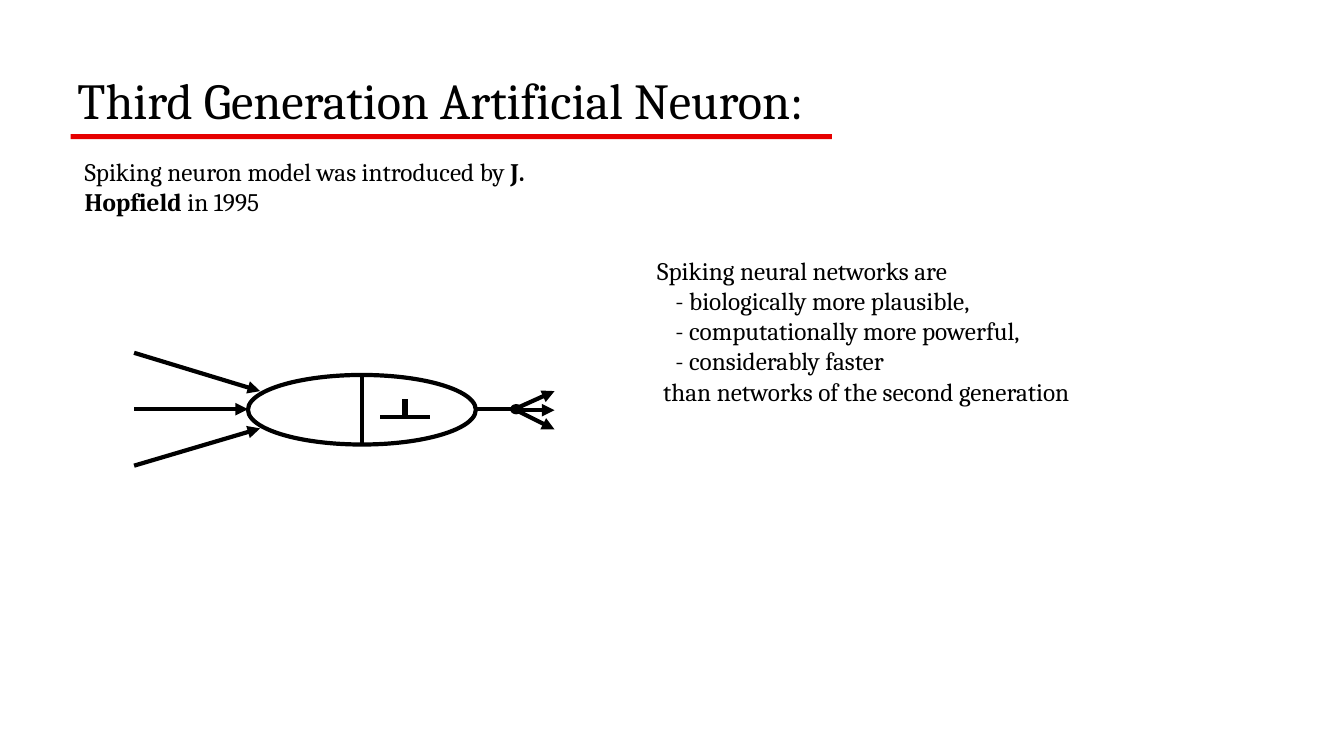
import pptx
import pptx.dml.color
import pptx.enum.shapes
import pptx.enum.text
import pptx.oxml
import pptx.oxml.ns
import pptx.util

COLORS = {"ink": "000000", "accent": "E60000", "background": "FFFFFF"}


class SlideBuilder:
    """Hold the style and the current slide, and draw each kind of element."""

    def __init__(self, presentation):
        self.font_name = "Cambria"
        self.slide = presentation.slides.add_slide(presentation.slide_layouts[6])
        background = self.slide.background.fill
        background.solid()
        background.fore_color.rgb = self.color("background")
        self.shapes = self.slide.shapes

    def color(self, name):
        return pptx.dml.color.RGBColor.from_string(COLORS[name])

    def start_group(self):
        self.shapes = self.slide.shapes.add_group_shape().shapes

    def end_group(self):
        self.shapes = self.slide.shapes

    def text(self, box, paragraphs, size=18, anchor="TOP"):
        shape = self.shapes.add_textbox(*map(pptx.util.Inches, box))
        frame = shape.text_frame
        frame.word_wrap = True
        frame.vertical_anchor = pptx.enum.text.MSO_ANCHOR[anchor]
        for index, (indent, runs) in enumerate(paragraphs):
            paragraph = frame.paragraphs[0] if index == 0 else frame.add_paragraph()
            if indent:
                properties = paragraph._p.get_or_add_pPr()
                properties.set("marL", str(pptx.util.Inches(indent)))
                properties.set("indent", "0")
            for content, bold in runs:
                run = paragraph.add_run()
                run.text = content
                run.font.name = self.font_name
                run.font.size = pptx.util.Pt(size)
                run.font.bold = bold
                run.font.color.rgb = self.color("ink")

    def shape(self, kind, box, fill=None, line_width=None):
        shape = self.shapes.add_shape(
            pptx.enum.shapes.MSO_SHAPE[kind], *map(pptx.util.Inches, box)
        )
        shape.shadow.inherit = False
        if fill:
            shape.fill.solid()
            shape.fill.fore_color.rgb = self.color(fill)
        else:
            shape.fill.background()
        if line_width:
            shape.line.color.rgb = self.color("ink")
            shape.line.width = pptx.util.Pt(line_width)
        else:
            shape.line.fill.background()

    def line(self, start, end, width=3, arrow=False):
        connector = self.shapes.add_connector(
            pptx.enum.shapes.MSO_CONNECTOR.STRAIGHT,
            *map(pptx.util.Inches, start + end)
        )
        connector.line.color.rgb = self.color("ink")
        connector.line.width = pptx.util.Pt(width)
        if arrow:
            head = pptx.oxml.parse_xml(
                f'<a:tailEnd {pptx.oxml.ns.nsdecls("a")} type="triangle"/>'
            )
            connector.line._get_or_add_ln().append(head)
        effects = pptx.oxml.parse_xml(
            f'<a:effectLst {pptx.oxml.ns.nsdecls("a")}/>'
        )
        connector._element.spPr.append(effects)


def draw_neuron(builder):
    builder.start_group()
    builder.shape("OVAL", (2.46, 3.72, 2.26, 0.69), line_width=3)
    builder.line((3.59, 3.72), (3.59, 4.41))
    inputs = [((1.33, 3.5), (2.58, 3.88)),
              ((1.33, 4.62), (2.58, 4.25)),
              ((1.33, 4.06), (2.46, 4.06))]
    outputs = [((5.08, 4.07), (5.5, 3.88)),
               ((5.08, 4.05), (5.5, 4.26)),
               ((5.17, 4.07), (5.5, 4.07))]
    for start, end in inputs + outputs:
        builder.line(start, end, arrow=True)
    builder.line((4.71, 4.06), (5.12, 4.06))
    builder.shape("FLOWCHART_CONNECTOR", (5.08, 4.03, 0.08, 0.06), "ink", 3)
    builder.line((4.02, 4.13), (4.02, 3.96), width=4.5)
    builder.line((3.77, 4.14), (4.27, 4.14))
    builder.end_group()


def main():
    presentation = pptx.Presentation()
    presentation.slide_width = pptx.util.Inches(13.33)
    presentation.slide_height = pptx.util.Inches(7.5)
    builder = SlideBuilder(presentation)

    title = [("Third Generation Artificial Neuron:", False)]
    builder.text((0.67, 0.64, 12, 0.7), [(0, title)], size=36, anchor="MIDDLE")
    draw_neuron(builder)
    origin = [("Spiking neuron model was introduced by ", False),
              ("J. Hopfield ", True),
              ("in 1995", False)]
    builder.text((0.74, 1.5, 5.56, 0.71), [(0, origin)])
    advantages = [(0, "Spiking neural networks are"),
                  (0.18, "- biologically more plausible,"),
                  (0.18, "- computationally more powerful,"),
                  (0.18, "- considerably faster"),
                  (0.06, "than networks of the second generation")]
    builder.text((6.42, 2.48, 5.56, 1.62),
                 [(indent, [(content, False)]) for indent, content in advantages])
    builder.shape("RECTANGLE", (0.7, 1.33, 7.55, 0.05), "accent")

    presentation.save("out.pptx")


if __name__ == "__main__":
    main()
